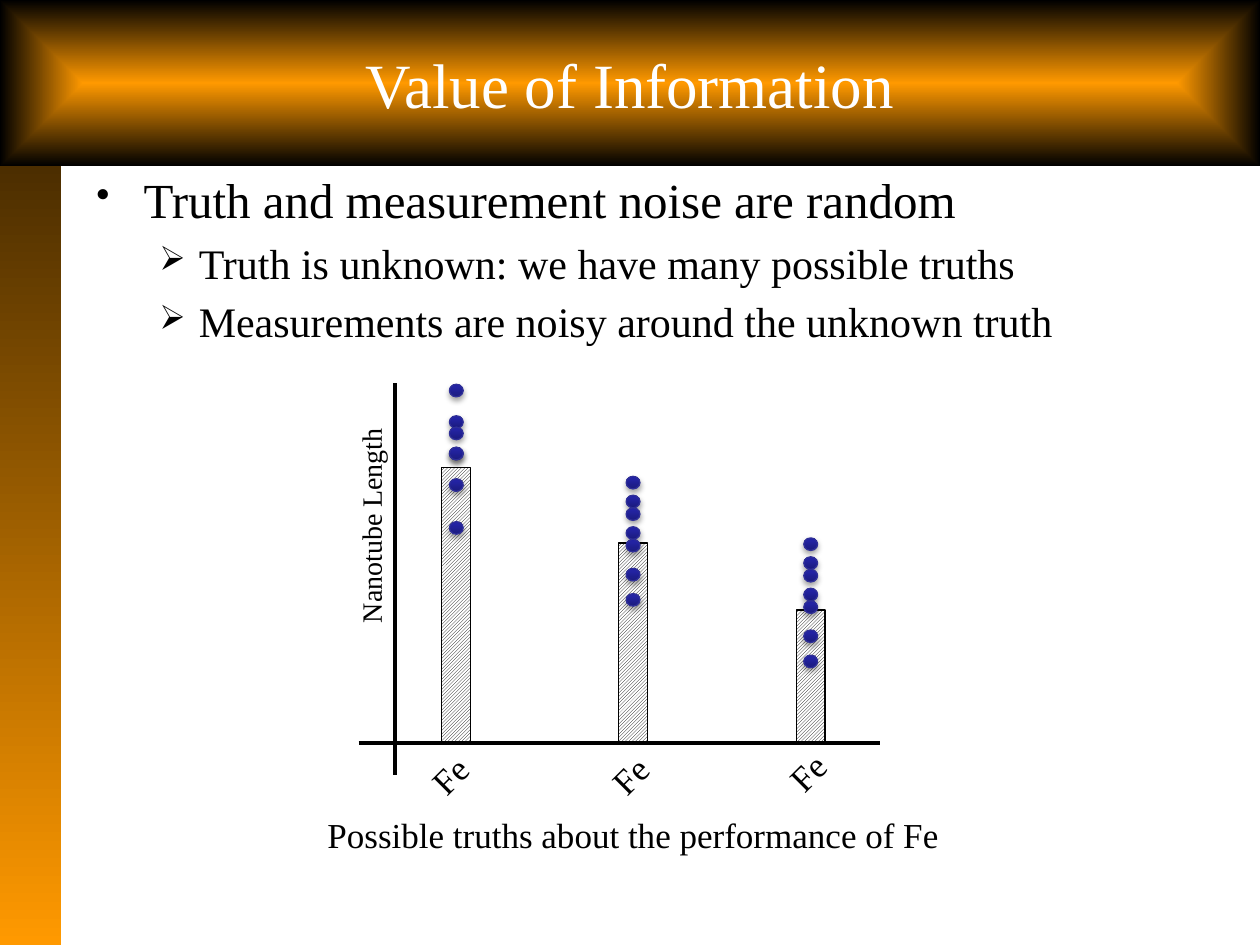
from typing import NamedTuple

from pptx import Presentation
from pptx.dml.color import RGBColor
from pptx.enum.dml import MSO_PATTERN
from pptx.enum.shapes import MSO_CONNECTOR, MSO_SHAPE
from pptx.enum.text import MSO_ANCHOR, MSO_AUTO_SIZE, PP_ALIGN
from pptx.oxml import parse_xml
from pptx.oxml.ns import nsdecls, qn
from pptx.util import Pt

BLACK = RGBColor(0x00, 0x00, 0x00)
WHITE = RGBColor(0xFF, 0xFF, 0xFF)
ORANGE = RGBColor(0xFF, 0x99, 0x00)
DOT_LINE = RGBColor(0x2F, 0x2F, 0x98)
DOT_DARK = RGBColor(0x1B, 0x1B, 0x7E)
DOT_MID = RGBColor(0x23, 0x23, 0xA3)
DOT_LIGHT = RGBColor(0x20, 0x20, 0xA6)

RECTANGLE = MSO_SHAPE.RECTANGLE
OVAL = MSO_SHAPE.OVAL
STRAIGHT = MSO_CONNECTOR.STRAIGHT
HATCH = MSO_PATTERN.DARK_UPWARD_DIAGONAL
MIDDLE = MSO_ANCHOR.MIDDLE
CENTER = PP_ALIGN.CENTER
LEFT = PP_ALIGN.LEFT
FIT_SHAPE = MSO_AUTO_SIZE.SHAPE_TO_FIT_TEXT

FONT = "Times New Roman"
BAR_WIDTH = 16.5
BAR_BOTTOM = 424
DOT_WIDTH = 7.9
DOT_HEIGHT = 7.2
WIDE_SPREAD = (0, 18, 24.5, 36, 36, 54, 78.5)
NARROW_SPREAD = (0, 10.8, 18, 28.8, 36, 52.6, 67)
DEEP_SHADE = '<a:gamma/><a:shade val="30196"/><a:invGamma/>'
TO_CENTER = ('<a:path path="shape"><a:fillToRect l="50000" t="50000" '
             'r="50000" b="50000"/></a:path>')


class Stop(NamedTuple):
    percent: int
    color: RGBColor
    change: str = ""


class Truth(NamedTuple):
    bar_left: float
    bar_top: float
    dots_top: float
    spread: tuple[float, ...]
    label_left: float
    label_top: float


class Bullet(NamedTuple):
    text: str
    level: int
    size: float
    mark: str
    margin: float
    hanging: float


TRUTHS = (
    Truth(252.5, 267, 219.6, WIDE_SPREAD, 239.8, 427),
    Truth(353.5, 310.3, 272.2, NARROW_SPREAD, 342.7, 427),
    Truth(455, 348.5, 307.4, NARROW_SPREAD, 444.2, 425.5),
)
BULLETS = (
    Bullet("Truth and measurement noise are random", 0, 28, "•", 27, 27),
    Bullet("Truth is unknown: we have many possible truths", 1, 24, "➢", 58.5, 22.5),
    Bullet("Measurements are noisy around the unknown truth", 1, 24, "➢", 58.5, 22.5),
)


def fill_gradient(shape, stops: tuple[Stop, ...], direction: str) -> None:
    marks = "".join(
        f'<a:gs pos="{stop.percent * 1000}"><a:srgbClr val="{stop.color}">'
        f'{stop.change}</a:srgbClr></a:gs>' for stop in stops)
    properties = shape._element.spPr
    properties.insert(2, parse_xml(
        f'<a:gradFill {nsdecls("a")} rotWithShape="1"><a:gsLst>{marks}</a:gsLst>'
        f'{direction}</a:gradFill>'))


def linear(degrees: int) -> str:
    return f'<a:lin ang="{degrees * 60000}" scaled="0"/>'


def add_shape(shapes, kind, left: float, top: float, width: float, height: float):
    shape = shapes.add_shape(kind, Pt(left), Pt(top), Pt(width), Pt(height))
    shape.shadow.inherit = False
    shape.line.fill.background()
    return shape


def write(para, text: str, *, size: float, color: RGBColor = BLACK, align=LEFT) -> None:
    para.alignment = align
    span = para.add_run()
    span.text = text
    span.font.name = FONT
    span.font.size = Pt(size)
    span.font.color.rgb = color


def add_label(page, text: str, left: float, top: float, width: float, height: float,
              *, size: float, rotation: float = 0) -> None:
    box = page.shapes.add_textbox(Pt(left), Pt(top), Pt(width), Pt(height))
    box.rotation = rotation
    box.text_frame.word_wrap = False
    box.text_frame.auto_size = FIT_SHAPE
    write(box.text_frame.paragraphs[0], text, size=size)


def add_title(page, text: str) -> None:
    banner = add_shape(page.shapes, RECTANGLE, 0, 0, 720, 95)
    fill_gradient(banner, (Stop(0, ORANGE), Stop(100, BLACK)), TO_CENTER)
    banner.text_frame.word_wrap = True
    banner.text_frame.vertical_anchor = MIDDLE
    write(banner.text_frame.paragraphs[0], text, size=36, color=WHITE, align=CENTER)


def add_bullets(page, bullets: tuple[Bullet, ...]) -> None:
    box = page.shapes.add_textbox(Pt(48), Pt(93.6), Pt(660), Pt(165.6))
    frame = box.text_frame
    frame.word_wrap = True
    for index, bullet in enumerate(bullets):
        para = frame.add_paragraph() if index else frame.paragraphs[0]
        write(para, bullet.text, size=bullet.size)
        para.level = bullet.level
        properties = para._p.get_or_add_pPr()
        properties.set("marL", str(Pt(bullet.margin)))
        properties.set("indent", str(-Pt(bullet.hanging)))
        for part in ('<a:spcBef {}><a:spcPct val="20000"/></a:spcBef>',
                     '<a:buSzPct {} val="80000"/>',
                     f'<a:buChar {{}} char="{bullet.mark}"/>'):
            properties.append(parse_xml(part.format(nsdecls("a"))))


def add_axis(page, start: tuple[float, float], end: tuple[float, float]) -> None:
    axis = page.shapes.add_connector(STRAIGHT, *map(Pt, start + end))
    axis.line.color.rgb = BLACK
    axis.line.width = Pt(2.25)
    axis._element.spPr.append(parse_xml(f'<a:effectLst {nsdecls("a")}/>'))


def add_bar(page, truth: Truth) -> None:
    bar = add_shape(page.shapes, RECTANGLE, truth.bar_left, truth.bar_top,
                    BAR_WIDTH, BAR_BOTTOM - truth.bar_top)
    bar.fill.patterned()
    bar.fill.pattern = HATCH
    bar.fill.fore_color.rgb = BLACK
    bar.fill.back_color.rgb = WHITE
    bar.line.color.rgb = BLACK
    bar.line.width = Pt(0.75)


def add_dots(page, truth: Truth) -> None:
    group = page.shapes.add_group_shape()
    left = truth.bar_left + (BAR_WIDTH - DOT_WIDTH) / 2
    for offset in truth.spread:
        dot = add_shape(group.shapes, OVAL, left, truth.dots_top + offset,
                        DOT_WIDTH, DOT_HEIGHT)
        fill_gradient(dot, (Stop(0, DOT_DARK), Stop(80, DOT_MID), Stop(100, DOT_LIGHT)),
                      linear(270))
        dot.line.color.rgb = DOT_LINE
        dot.line.width = Pt(0.75)
        dot._element.spPr.find(qn("a:effectLst")).append(parse_xml(
            f'<a:outerShdw {nsdecls("a")} blurRad="{Pt(3.1)}" dist="{Pt(1.8)}" '
            f'dir="5400000" rotWithShape="0"><a:srgbClr val="{BLACK}">'
            '<a:alpha val="35000"/></a:srgbClr></a:outerShdw>'))


def main() -> None:
    deck = Presentation()
    deck.slide_width, deck.slide_height = Pt(720), Pt(540)
    page = deck.slides.add_slide(deck.slide_layouts[6])
    side_band = add_shape(page.shapes, RECTANGLE, 0, 94.5, 34.8, 445.5)
    fill_gradient(side_band, (Stop(0, ORANGE, DEEP_SHADE), Stop(100, ORANGE)), linear(90))
    add_title(page, "Value of Information")
    add_bullets(page, BULLETS)
    add_axis(page, (205, 424.8), (502.8, 424.8))
    for truth in TRUTHS:
        add_bar(page, truth)
        add_dots(page, truth)
        add_label(page, "Fe", truth.label_left, truth.label_top, 34.6, 31.5,
                  size=20, rotation=315)
    add_label(page, "Possible truths about the performance of Fe", 180, 461.5, 365.8, 31.5,
              size=20)
    add_axis(page, (225.5, 442.8), (225.5, 218.7))
    add_label(page, "Nanotube Length", 148.3, 286, 127.5, 26.6, size=16, rotation=270)
    deck.save("out.pptx")


if __name__ == "__main__":
    main()
